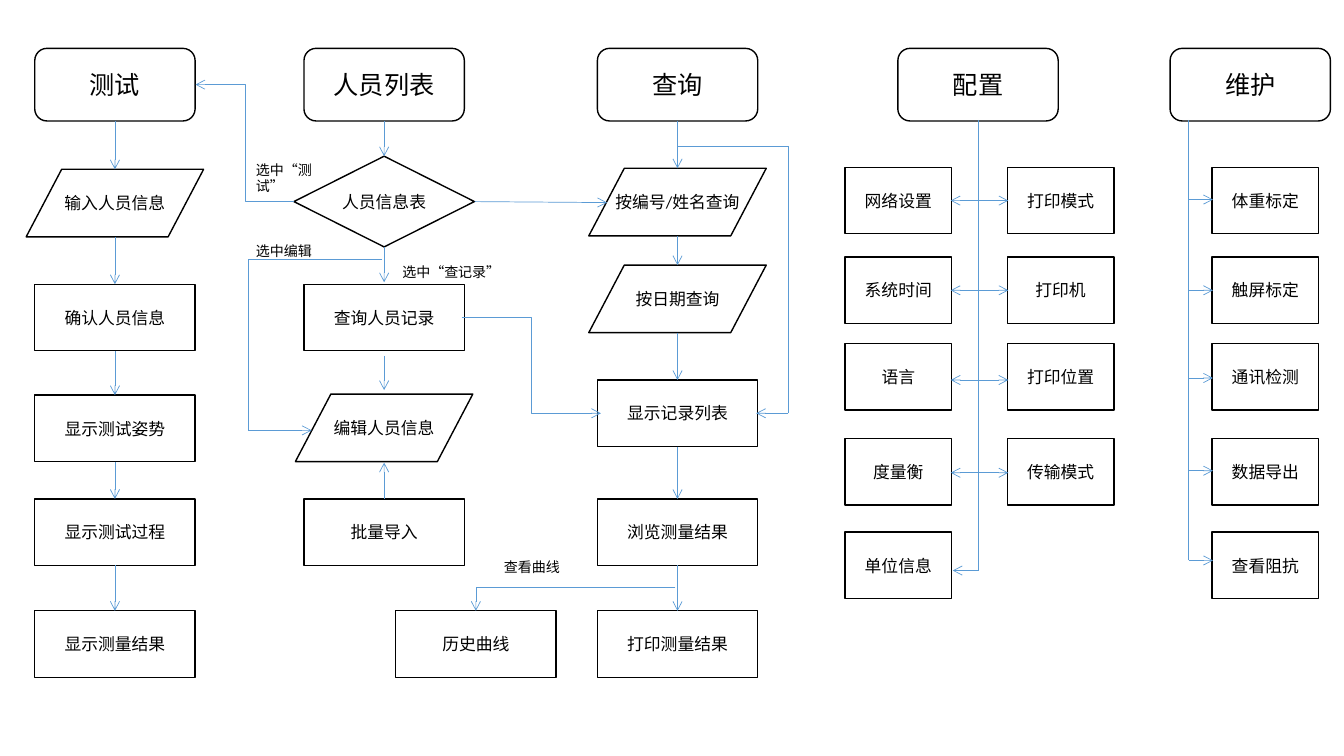
"""Build a flowchart slide of the test, people list, query, settings and maintenance menus."""
from itertools import pairwise

from lxml.etree import SubElement
from pptx import Presentation
from pptx.dml.color import RGBColor
from pptx.enum.shapes import MSO_CONNECTOR, MSO_SHAPE
from pptx.enum.text import MSO_ANCHOR, MSO_AUTO_SIZE, PP_ALIGN
from pptx.oxml.ns import qn
from pptx.util import Inches, Pt

COLORS = {"paper": "FFFFFF", "ink": "000000", "arrow": "5B9BD5"}
KINDS = {
    "title": (MSO_SHAPE.FLOWCHART_ALTERNATE_PROCESS, 1.59, 0.72, 18),
    "step": (MSO_SHAPE.RECTANGLE, 1.59, 0.66, 12),
    "input": (MSO_SHAPE.FLOWCHART_DATA, 1.76, 0.67, 12),
    "choice": (MSO_SHAPE.FLOWCHART_DECISION, 1.79, 0.9, 12),
    "option": (MSO_SHAPE.RECTANGLE, 1.06, 0.66, 12),
}
TEST_X, PEOPLE_X, QUERY_X = 1.14, 3.81, 6.72
TRUNK_X, SERVICE_TRUNK_X = 9.7, 11.79

presentation = Presentation()
presentation.slide_width, presentation.slide_height = Inches(13.33), Inches(7.5)
slide = presentation.slides.add_slide(presentation.slide_layouts[6])


def write(frame, text, size, align):
    frame.text = text
    paragraph = frame.paragraphs[0]
    paragraph.alignment = align
    for name, value in {"name": "Calibri", "size": Pt(size)}.items():
        setattr(paragraph.font, name, value)
    paragraph.font.color.rgb = RGBColor.from_string(COLORS["ink"])


def connect(start, end, ends=("tailEnd",), route=MSO_CONNECTOR.STRAIGHT):
    link = slide.shapes.add_connector(route, *map(Inches, (*start, *end)))
    link.line.color.rgb = RGBColor.from_string(COLORS["arrow"])
    link.line.width = Pt(0.5)
    for tag in ends:
        SubElement(link.line._get_or_add_ln(), qn(f"a:{tag}"), type="arrow")
    SubElement(link._element.spPr, qn("a:effectLst"))
    return link


test_flow = [
    ("title", 0.48, "测试"),
    ("input", 1.68, "输入人员信息"),
    ("step", 2.82, "确认人员信息"),
    ("step", 3.92, "显示测试姿势"),
    ("step", 4.95, "显示测试过程"),
    ("step", 6.06, "显示测量结果"),
]
people_flow = [
    ("title", 0.48, "人员列表"),
    ("choice", 1.55, "人员信息表"),
    ("step", 2.82, "查询人员记录"),
    ("input", 3.91, "编辑人员信息"),
    ("step", 4.95, "批量导入"),
]
query_flow = [
    ("title", 0.48, "查询"),
    ("input", 1.67, "按编号/姓名查询"),
    ("input", 2.63, "按日期查询"),
    ("step", 3.77, "显示记录列表"),
    ("step", 4.95, "浏览测量结果"),
    ("step", 6.06, "打印测量结果"),
]
option_tops = [1.66, 2.55, 3.41, 4.35, 5.28]
option_columns = [
    (8.91, ["网络设置", "系统时间", "语言", "度量衡", "单位信息"]),
    (10.52, ["打印模式", "打印机", "打印位置", "传输模式"]),
    (12.55, ["体重标定", "触屏标定", "通讯检测", "数据导出", "查看阻抗"]),
]
columns = [
    (TEST_X, test_flow),
    (PEOPLE_X, people_flow),
    (QUERY_X, query_flow),
    (4.72, [("step", 6.06, "历史曲线")]),
    (9.7, [("title", 0.48, "配置")]),
    (12.4, [("title", 0.48, "维护")]),
]
for center, names in option_columns:
    columns.append((center, [("option", top, name) for top, name in zip(option_tops, names)]))

for center, nodes in columns:
    for kind, top, text in nodes:
        preset, width, height, size = KINDS[kind]
        node = slide.shapes.add_shape(
            preset, *map(Inches, (center - width / 2, top, width, height)))
        node.shadow.inherit = False
        node.fill.solid()
        node.fill.fore_color.rgb = RGBColor.from_string(COLORS["paper"])
        node.line.color.rgb = RGBColor.from_string(COLORS["ink"])
        node.line.width = Pt(1)
        frame_format = {
            "word_wrap": False, "vertical_anchor": MSO_ANCHOR.MIDDLE,
            "margin_left": 0, "margin_right": 0, "margin_top": 0, "margin_bottom": 0,
        }
        for name, value in frame_format.items():
            setattr(node.text_frame, name, value)
        write(node.text_frame, text, size, PP_ALIGN.CENTER)

for center, flow in ((TEST_X, test_flow), (QUERY_X, query_flow)):
    for (kind, top, _), (_, next_top, _) in pairwise(flow):
        connect((center, top + KINDS[kind][2]), (center, next_top))

for start_y, end_y in ((1.2, 1.55), (2.45, 2.8), (3.53, 3.87), (4.95, 4.59)):
    connect((PEOPLE_X, start_y), (PEOPLE_X, end_y))

connect((2.92, 2), (1.94, 0.84), route=MSO_CONNECTOR.ELBOW)
connect((4.71, 2), (6.02, 2.01))
connect((4.58, 3.15), (5.96, 4.1), route=MSO_CONNECTOR.ELBOW)
history_link = connect((6.7, 5.83), (4.72, 6.06), route=MSO_CONNECTOR.ELBOW)
history_link._element.spPr.find(qn("a:prstGeom")).set("prst", "bentConnector2")

edit_route = [(3.79, 2.57), (2.46, 2.57), (2.46, 4.27), (3.09, 4.27)]
records_route = [(QUERY_X, 1.45), (7.82, 1.45), (7.82, 4.1), (7.5, 4.1)]
unit_route = [(TRUNK_X, 1.19), (TRUNK_X, 5.66), (9.45, 5.66)]
for route in (edit_route, records_route, unit_route):
    for start, end in pairwise(route):
        connect(start, end, ("tailEnd",) if end == route[-1] else ())

for y in (1.99, 2.88, 3.77, 4.69):
    connect((9.43, y), (10, y), ("headEnd", "tailEnd"))

connect((SERVICE_TRUNK_X, 1.19), (SERVICE_TRUNK_X, 5.56), ())
for y in (1.98, 2.88, 3.75, 4.67, 5.56):
    connect((SERVICE_TRUNK_X, y), (12.03, y))

branch_labels = [
    (2.44, 1.55, 0.93, "选中“测试”", PP_ALIGN.LEFT),
    (3.82, 2.57, 1.31, "选中“查记录”", PP_ALIGN.CENTER),
    (2.44, 2.36, 0.93, "选中编辑", PP_ALIGN.LEFT),
    (4.9, 5.49, 0.93, "查看曲线", PP_ALIGN.LEFT),
]
for left, top, width, text, align in branch_labels:
    label = slide.shapes.add_textbox(*map(Inches, (left, top, width, 0.27)))
    label.text_frame.word_wrap = True
    label.text_frame.auto_size = MSO_AUTO_SIZE.SHAPE_TO_FIT_TEXT
    write(label.text_frame, text, 10, align)

presentation.save("out.pptx")
